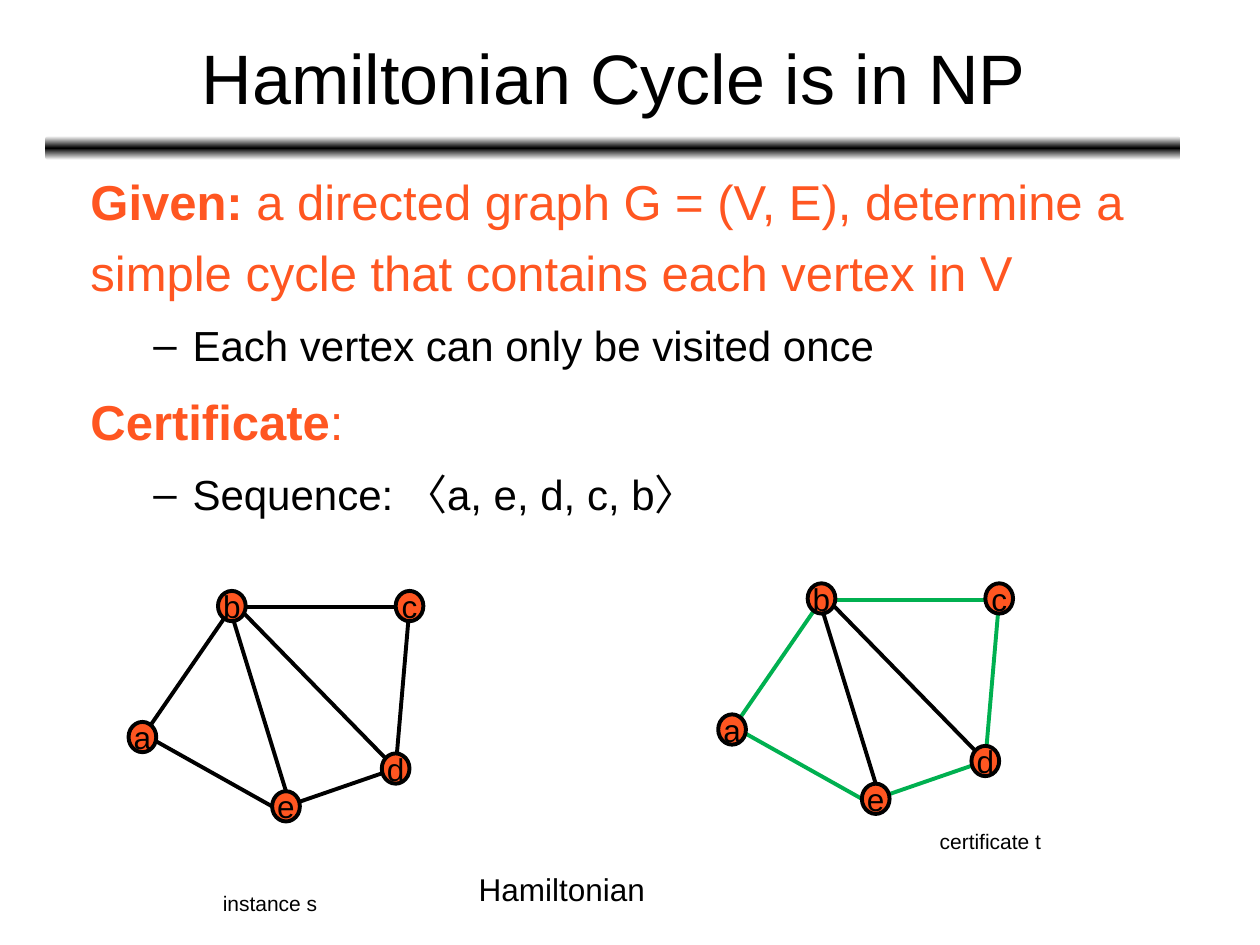
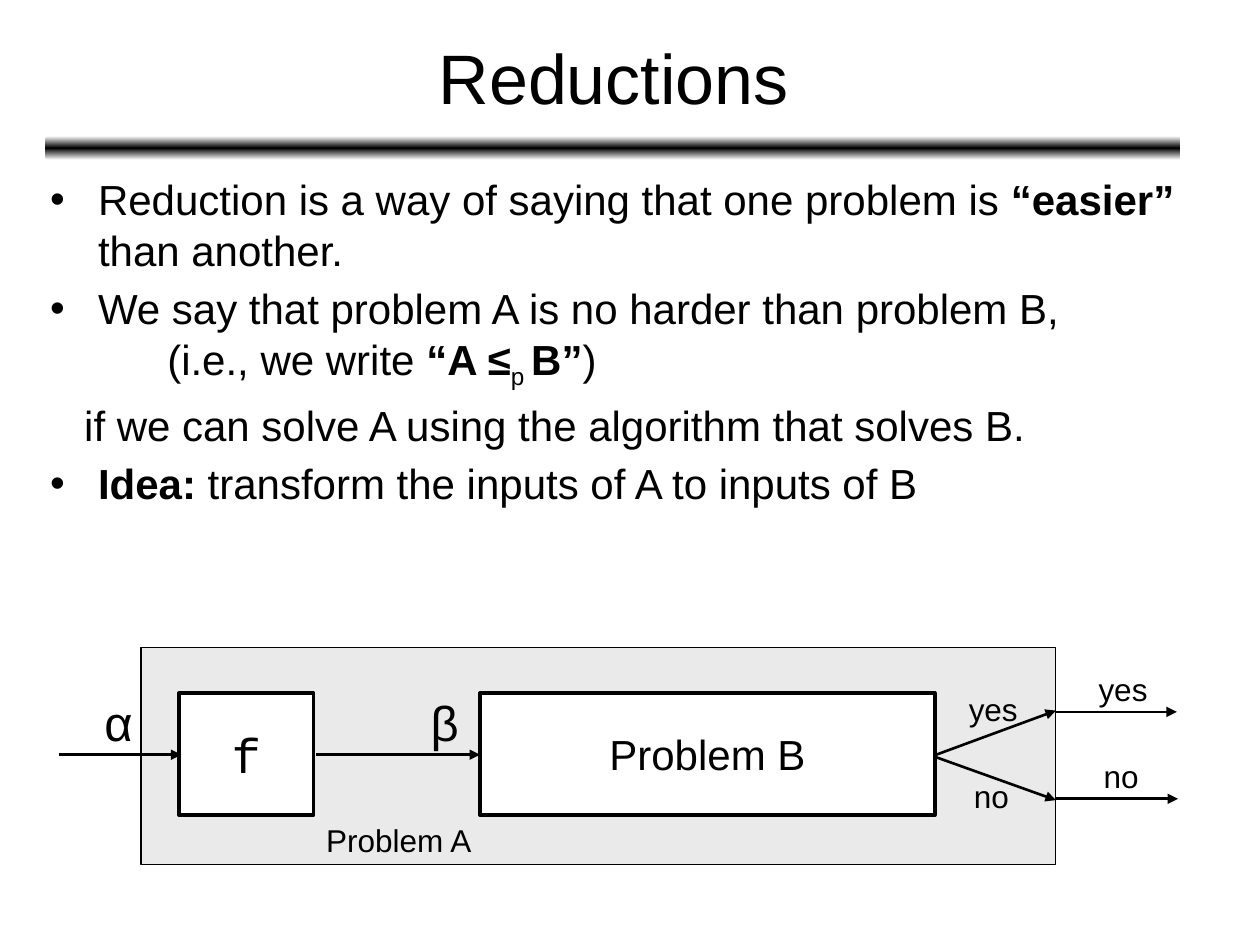
import copy

import lxml.etree
import pptx
import pptx.dml.color
import pptx.enum.shapes
import pptx.enum.text
import pptx.oxml.ns
import pptx.util

Inches = pptx.util.Inches
Pt = pptx.util.Pt
qn = pptx.oxml.ns.qn
SHAPES = pptx.enum.shapes.MSO_SHAPE
ANCHOR = pptx.enum.text.MSO_ANCHOR
ALIGN = pptx.enum.text.PP_ALIGN

COLORS = {
    "ink": "000000",
    "paper": "FFFFFF",
    "accent": "FF5621",
    "cycle": "00B050",
    "panel": "EAEAEA",
}
FONT = "Arial"
CODE_FONT = "Courier New"

# Node name: left and top within the graph's box
NODE_SIZE = (0.22, 0.24)
NODES = {"a": (0, 1.04), "b": (0.71, 0), "c": (2.12, 0), "d": (2.01, 1.29), "e": (1.14, 1.59)}
# Start and end within the graph's box, and whether the edge is on the cycle
EDGES = [
    ((0.82, 0.13), (0.11, 1.16), True),
    ((0.16, 1.16), (1.14, 1.71), True),
    ((0.82, 0.19), (1.25, 1.59), False),
    ((0.82, 0.13), (2.23, 0.13), True),
    ((2.23, 0.13), (2.12, 1.41), True),
    ((0.87, 0.13), (2.12, 1.41), False),
    ((1.25, 1.71), (2.12, 1.41), True),
]


def rgb(name):
    return pptx.dml.color.RGBColor.from_string(COLORS[name])


def style_font(font, size, color="ink", bold=False, name=FONT):
    font.name = name
    font.size = Pt(size)
    font.bold = bold
    font.color.rgb = rgb(color)


def add_line(shapes, start, end, color="ink", width=1.5, arrow=False):
    line = shapes.add_connector(
        pptx.enum.shapes.MSO_CONNECTOR.STRAIGHT, *[Inches(value) for value in (*start, *end)]
    )
    line.line.color.rgb = rgb(color)
    line.line.width = Pt(width)
    if arrow:
        outline = line.line._get_or_add_ln()
        lxml.etree.SubElement(outline, qn("a:tailEnd"), type="triangle")
    lxml.etree.SubElement(line._element.spPr, qn("a:effectLst"))


def add_shape(shapes, kind, box, fill, line_width, text="", size=18, font=FONT):
    shape = shapes.add_shape(kind, *[Inches(value) for value in box])
    shape.shadow.inherit = False
    shape.fill.solid()
    shape.fill.fore_color.rgb = rgb(fill)
    shape.line.color.rgb = rgb("ink")
    shape.line.width = Pt(line_width)
    if text:
        frame = shape.text_frame
        frame.word_wrap = False
        frame.vertical_anchor = ANCHOR.MIDDLE
        frame.margin_left = frame.margin_right = frame.margin_top = frame.margin_bottom = 0
        frame.text = text
        para = frame.paragraphs[0]
        para.alignment = ALIGN.CENTER
        style_font(para.runs[0].font, size, name=font)


def add_label(shapes, box, text, size=18):
    label = shapes.add_textbox(*[Inches(value) for value in box])
    label.text_frame.word_wrap = False
    label.text_frame.text = text
    style_font(label.text_frame.paragraphs[0].runs[0].font, size)


def add_paragraph(frame, spans, size, color="ink", bullet=None, margin=0, indent=0,
                  spacing=None, gap=True):
    """Add a paragraph of (text, style) spans; a style is "", "bold" or "sub"."""
    is_first = not frame.paragraphs[0].runs
    para = frame.paragraphs[0] if is_first else frame.add_paragraph()
    properties = para._p.get_or_add_pPr()
    properties.set("marL", str(Inches(margin)))
    properties.set("indent", str(Inches(indent)))
    if bullet:
        lxml.etree.SubElement(properties, qn("a:buFont"), typeface=FONT)
        lxml.etree.SubElement(properties, qn("a:buChar"), char=bullet)
    if spacing:
        para.line_spacing = spacing
    para.space_before = Pt(size * 0.2) if gap and not is_first else Pt(0)
    for text, style in spans:
        span = para.add_run()
        span.text = text
        style_font(span.font, size, color, style == "bold")
        if style == "sub":
            span.font._element.set("baseline", "-25000")


def add_body(page, box):
    body = page.shapes.add_textbox(*[Inches(value) for value in box])
    body.text_frame.word_wrap = True
    return body.text_frame


def add_title_band(page):
    band = page.shapes.add_shape(
        SHAPES.ROUNDED_RECTANGLE, Inches(0.36), Inches(1.08), Inches(9.01), Inches(0.19)
    )
    band.shadow.inherit = False
    band.line.fill.background()
    band.fill.gradient()
    band.fill.gradient_angle = 90
    first, last = band.fill.gradient_stops
    first.color.rgb = last.color.rgb = rgb("paper")
    first.position, last.position = 0, 1
    stops = band._element.spPr.find(qn("a:gradFill")).find(qn("a:gsLst"))
    stops.insert(1, copy.deepcopy(stops[0]))
    middle = band.fill.gradient_stops[1]
    middle.color.rgb = rgb("ink")
    middle.position = 0.5


def add_page(deck, text):
    page = deck.slides.add_slide(deck.slide_layouts[5])
    add_title_band(page)
    title = page.shapes.title
    title.left, title.top = Inches(0.37), Inches(0.11)
    title.width, title.height = Inches(9), Inches(0.99)
    title.text_frame.text = text
    title.text_frame.vertical_anchor = ANCHOR.MIDDLE
    para = title.text_frame.paragraphs[0]
    para.alignment = ALIGN.CENTER
    style_font(para.runs[0].font, 40)
    return page


def add_graph(page, left, top, show_cycle):
    shapes = page.shapes.add_group_shape().shapes
    for start, end, on_cycle in EDGES:
        color = "cycle" if show_cycle and on_cycle else "ink"
        ends = [(left + x, top + y) for x, y in (start, end)]
        add_line(shapes, *ends, color, 2.25)
    for name, (x, y) in NODES.items():
        add_shape(shapes, SHAPES.OVAL, (left + x, top + y, *NODE_SIZE), "accent", 2.25, name)


def add_reduction_diagram(page, left, top):
    shapes = page.shapes.add_group_shape().shapes

    def place(x, y, *size):
        return (left + x, top + y, *size)

    add_shape(shapes, SHAPES.RECTANGLE, place(0.65, 0, 7.26, 1.72), "panel", 0.75)
    add_shape(shapes, SHAPES.RECTANGLE, place(0.95, 0.36, 1.07, 0.97), "paper", 2,
              "f", 28, CODE_FONT)
    add_shape(shapes, SHAPES.RECTANGLE, place(3.34, 0.36, 3.61, 0.97), "paper", 2,
              "Problem B", 24)
    arrows = [
        ((0, 0.85), (0.97, 0.85)),
        ((2.04, 0.85), (3.34, 0.85)),
        ((6.96, 0.85), (7.91, 0.5)),
        ((6.96, 0.87), (7.91, 1.21)),
        ((7.9, 0.51), (8.87, 0.51)),
        ((7.91, 1.2), (8.88, 1.2)),
    ]
    for start, end in arrows:
        add_line(shapes, place(*start), place(*end), arrow=True)
    add_label(shapes, place(0.26, 0.31, 0.45, 0.57), "α", 28)
    add_label(shapes, place(2.85, 0.31, 0.41, 0.57), "β", 28)
    for x, y in ((7.12, 0.29), (8.15, 0.13)):
        add_label(shapes, place(x, y, 0.59, 0.4), "yes")
        add_label(shapes, place(x + 0.04, y + 0.69, 0.48, 0.4), "no")
    add_label(shapes, place(2.02, 1.33, 1.37, 0.4), "Problem A")


def build_hamiltonian_page(deck):
    page = add_page(deck, "Hamiltonian Cycle is in NP")
    frame = add_body(page, (0.62, 1.22, 9, 5.55))
    heading = {"size": 28, "color": "accent", "spacing": 1.2}
    detail = {"size": 24, "bullet": "–", "margin": 0.81, "indent": -0.31, "spacing": 1.2}
    add_paragraph(frame, [
        ("Given:", "bold"),
        (" a directed graph G = (V, E), determine a simple cycle that contains each vertex in V", ""),
    ], **heading)
    add_paragraph(frame, [("Each vertex can only be visited once", "")], **detail)
    add_paragraph(frame, [("Certificate", "bold"), (":", "")], **heading)
    add_paragraph(frame, [("Sequence: 〈a, e, d, c, b〉", "")], **detail)

    add_label(page.shapes, (3.7, 6.86, 1.53, 0.4), "Hamiltonian")
    add_label(page.shapes, (1.67, 7.02, 0.98, 0.34), "instance s", 12)
    add_label(page.shapes, (7.36, 6.53, 1.2, 0.34), "certificate t", 12)
    add_graph(page, 1.02, 4.69, show_cycle=False)
    add_graph(page, 5.7, 4.63, show_cycle=True)


def build_reductions_page(deck):
    page = add_page(deck, "Reductions")
    frame = add_body(page, (0.3, 1.33, 9.5, 5.55))
    point = {"size": 24, "bullet": "•", "margin": 0.38, "indent": -0.38}
    add_paragraph(frame, [
        ("Reduction is a way of saying that one problem is ", ""),
        ("“easier”", "bold"),
        (" than another.", ""),
    ], **point)
    add_paragraph(frame, [("We say that problem A is no harder than problem B,", "")], **point)
    add_paragraph(frame, [
        ("(i.e., we write ", ""), ("“A ≤", "bold"), ("p ", "sub"), ("B”", "bold"), (")", ""),
    ], 24, margin=0.93, gap=False)
    add_paragraph(frame, [("if we can solve A using the algorithm that solves B.", "")],
                  24, margin=0.27)
    add_paragraph(frame, [("Idea:", "bold"), (" transform the inputs of A to inputs of B", "")],
                  **point)
    add_reduction_diagram(page, 0.47, 5.14)


def main():
    deck = pptx.Presentation()
    deck.slide_width, deck.slide_height = Inches(10), Inches(7.5)
    build_hamiltonian_page(deck)
    build_reductions_page(deck)
    deck.save("out.pptx")


if __name__ == "__main__":
    main()
